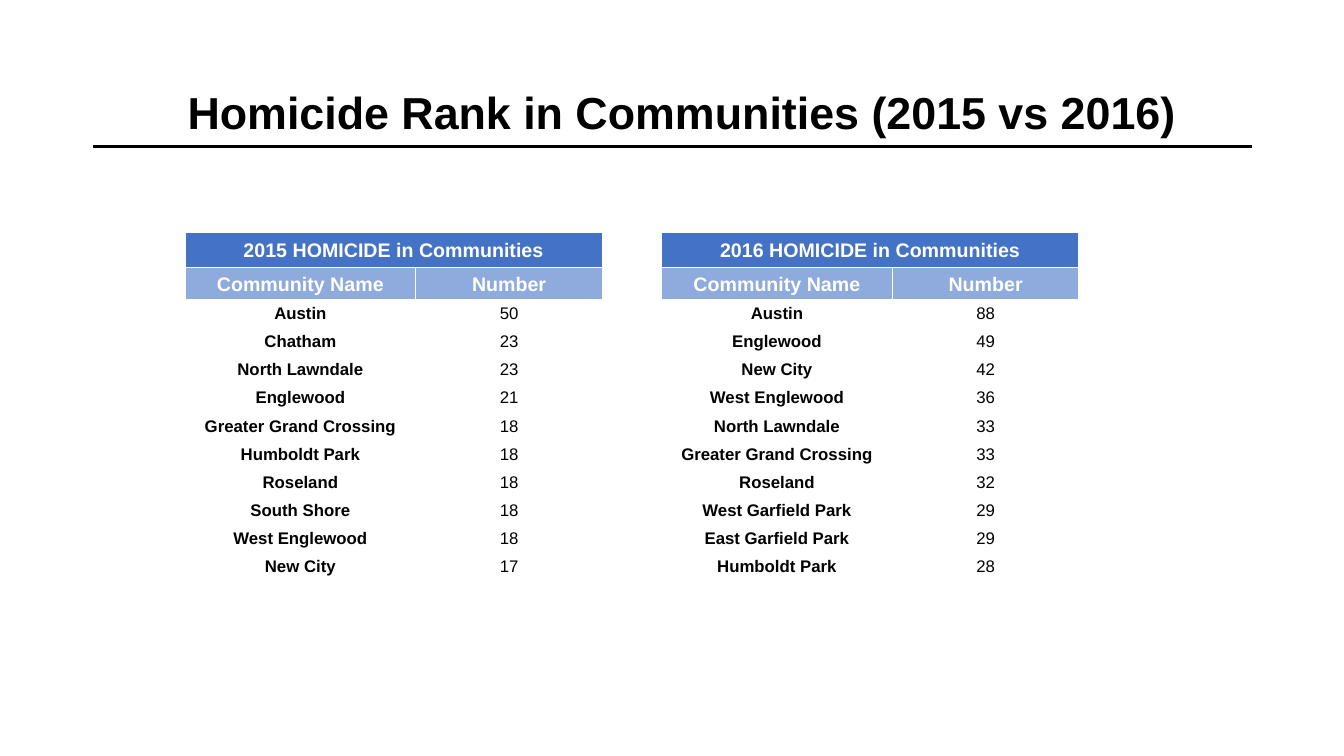
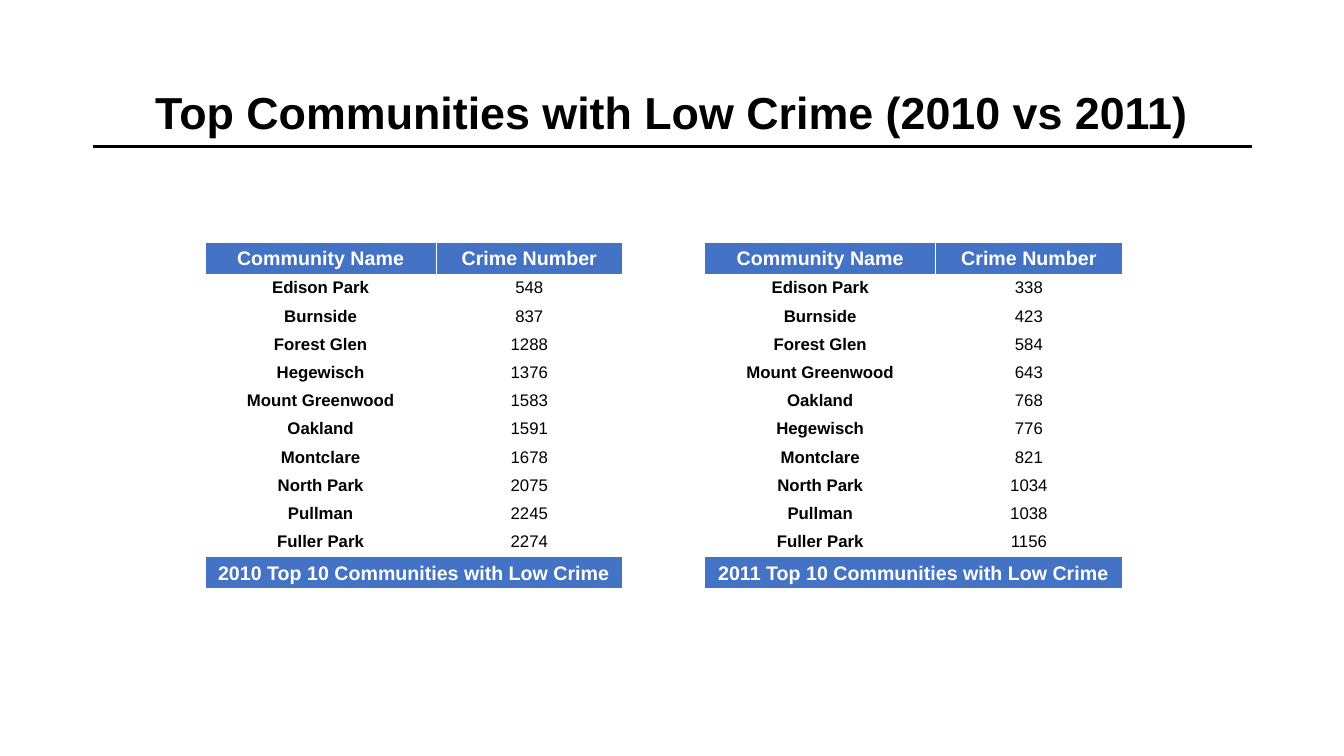
"""Build two slides that compare community rankings."""
from dataclasses import dataclass

import lxml.etree
import pptx
import pptx.dml.color
import pptx.enum.shapes
import pptx.enum.text
import pptx.oxml.ns
import pptx.presentation
import pptx.slide
import pptx.table
import pptx.text.text
import pptx.util

Cm = pptx.util.Cm
Pt = pptx.util.Pt
Anchor = pptx.enum.text.MSO_ANCHOR
qn = pptx.oxml.ns.qn

FONT = "Arial"
BLACK = "000000"
WHITE = "FFFFFF"
BLUE = "4472C4"
LIGHT_BLUE = "8FAADC"
COLUMN_WIDTHS = (5.82, 4.7)
CELL_MARGIN = 0.08
TITLE_TOP, TITLE_WIDTH, TITLE_HEIGHT = 2.16, 29.21, 3.68
RULE_LEFT, RULE_TOP = 2.34, 3.69


@dataclass(frozen=True)
class RowStyle:
    """Look of one kind of table row."""
    height: float
    fill: str
    color: str = WHITE
    size: int = 14
    anchor: Anchor = Anchor.MIDDLE


@dataclass(frozen=True)
class Ranking:
    """One ranking table, with an optional banner above or below."""
    left: float
    number_label: str
    entries: tuple[tuple[str, int], ...]
    heading: str = ""
    caption: str = ""


@dataclass(frozen=True)
class Comparison:
    """One slide with its title and its ranking tables."""
    title: str
    title_left: float
    table_top: float
    rankings: tuple[Ranking, ...]


HEADING = RowStyle(0.89, BLUE)
LABELS = RowStyle(0.81, BLUE)
SUBLABELS = RowStyle(0.81, LIGHT_BLUE)
ENTRY = RowStyle(0.71, WHITE, BLACK, 12, Anchor.TOP)
CAPTION = RowStyle(0.83, BLUE)

COMPARISONS = (
    Comparison("Homicide Rank in Communities (2015 vs 2016)", 2.59, 5.85, (
        Ranking(4.66, "Number", (
            ("Austin", 50), ("Chatham", 23), ("North Lawndale", 23),
            ("Englewood", 21), ("Greater Grand Crossing", 18),
            ("Humboldt Park", 18), ("Roseland", 18), ("South Shore", 18),
            ("West Englewood", 18), ("New City", 17),
        ), heading="2015 HOMICIDE in Communities"),
        Ranking(16.67, "Number", (
            ("Austin", 88), ("Englewood", 49), ("New City", 42),
            ("West Englewood", 36), ("North Lawndale", 33),
            ("Greater Grand Crossing", 33), ("Roseland", 32),
            ("West Garfield Park", 29), ("East Garfield Park", 29),
            ("Humboldt Park", 28),
        ), heading="2016 HOMICIDE in Communities"),
    )),
    Comparison("Top Communities with Low Crime (2010 vs 2011)", 2.33, 6.1, (
        Ranking(5.17, "Crime Number", (
            ("Edison Park", 548), ("Burnside", 837), ("Forest Glen", 1288),
            ("Hegewisch", 1376), ("Mount Greenwood", 1583),
            ("Oakland", 1591), ("Montclare", 1678), ("North Park", 2075),
            ("Pullman", 2245), ("Fuller Park", 2274),
        ), caption="2010 Top 10 Communities with Low Crime"),
        Ranking(17.76, "Crime Number", (
            ("Edison Park", 338), ("Burnside", 423), ("Forest Glen", 584),
            ("Mount Greenwood", 643), ("Oakland", 768), ("Hegewisch", 776),
            ("Montclare", 821), ("North Park", 1034), ("Pullman", 1038),
            ("Fuller Park", 1156),
        ), caption="2011 Top 10 Communities with Low Crime"),
    )),
)


def rgb(value: str) -> pptx.dml.color.RGBColor:
    """Turn a hex string into a colour."""
    return pptx.dml.color.RGBColor.from_string(value)


def write(frame: pptx.text.text.TextFrame, text: str, *, size: int, color: str,
          bold: bool, spacing: float) -> None:
    """Write one centred, formatted paragraph."""
    para = frame.paragraphs[0]
    para.alignment = pptx.enum.text.PP_ALIGN.CENTER
    para.line_spacing = spacing
    span = para.add_run()
    span.text = text
    span.font.name = FONT
    span.font.size = Pt(size)
    span.font.bold = bold
    span.font.color.rgb = rgb(color)


def add_title(page: pptx.slide.Slide, text: str, left: float) -> None:
    """Fill the title placeholder and draw the rule below it."""
    box = page.shapes.title
    box.left, box.top = Cm(left), Cm(TITLE_TOP)
    box.width, box.height = Cm(TITLE_WIDTH), Cm(TITLE_HEIGHT)
    frame = box.text_frame
    frame.word_wrap = True
    frame.auto_size = pptx.enum.text.MSO_AUTO_SIZE.NONE
    frame.vertical_anchor = Anchor.TOP
    write(frame, text, size=32, color=BLACK, bold=True, spacing=0.9)
    rule = page.shapes.add_connector(
        pptx.enum.shapes.MSO_CONNECTOR.STRAIGHT, Cm(RULE_LEFT), Cm(RULE_TOP),
        Cm(RULE_LEFT + TITLE_WIDTH), Cm(RULE_TOP))
    rule.line.color.rgb = rgb(BLACK)
    rule.line.width = Pt(2.25)
    lxml.etree.SubElement(rule._element.spPr, qn("a:effectLst"))


def style_cell(cell: pptx.table._Cell, style: RowStyle) -> None:
    """Set the borders, fill, margins and anchor of a cell."""
    properties = cell._tc.get_or_add_tcPr()
    for side in ("L", "R", "T", "B"):
        border = lxml.etree.SubElement(properties, qn(f"a:ln{side}"), w=str(Pt(1)))
        paint = lxml.etree.SubElement(border, qn("a:solidFill"))
        lxml.etree.SubElement(paint, qn("a:srgbClr"), val=WHITE)
    cell.fill.solid()
    cell.fill.fore_color.rgb = rgb(style.fill)
    cell.margin_left = cell.margin_right = Cm(CELL_MARGIN)
    cell.margin_top = cell.margin_bottom = Cm(CELL_MARGIN)
    cell.vertical_anchor = style.anchor


def table_rows(ranking: Ranking) -> list[tuple[RowStyle, tuple[str, ...]]]:
    """List the style and texts of each row; a lone text spans the row."""
    labels = SUBLABELS if ranking.heading else LABELS
    rows = [(labels, ("Community Name", ranking.number_label))]
    rows += [(ENTRY, (name, str(number))) for name, number in ranking.entries]
    if ranking.heading:
        rows.insert(0, (HEADING, (ranking.heading,)))
    if ranking.caption:
        rows.append((CAPTION, (ranking.caption,)))
    return rows


def add_ranking(page: pptx.slide.Slide, ranking: Ranking, top: float) -> None:
    """Draw one ranking table."""
    rows = table_rows(ranking)
    height = sum(style.height for style, _ in rows)
    table = page.shapes.add_table(
        len(rows), len(COLUMN_WIDTHS), Cm(ranking.left), Cm(top),
        Cm(sum(COLUMN_WIDTHS)), Cm(height)).table
    table.first_row = table.horz_banding = False
    for column, width in zip(table.columns, COLUMN_WIDTHS):
        column.width = Cm(width)
    for row, (style, texts) in zip(table.rows, rows):
        row.height = Cm(style.height)
        cells = list(row.cells)
        for cell in cells:
            style_cell(cell, style)
        if len(texts) == 1:
            cells[0].merge(cells[-1])
        for index, (cell, text) in enumerate(zip(cells, texts)):
            write(cell.text_frame, text, size=style.size, color=style.color,
                  bold=style is not ENTRY or index == 0, spacing=1.07)


def add_comparison(deck: pptx.presentation.Presentation,
                   comparison: Comparison) -> None:
    """Add one slide with a title and its tables."""
    page = deck.slides.add_slide(deck.slide_layouts.get_by_name("Title Only"))
    add_title(page, comparison.title, comparison.title_left)
    for ranking in comparison.rankings:
        add_ranking(page, ranking, comparison.table_top)


def main() -> None:
    """Build and save the deck."""
    deck = pptx.Presentation()
    deck.slide_width, deck.slide_height = Cm(33.87), Cm(19.05)
    for comparison in COMPARISONS:
        add_comparison(deck, comparison)
    deck.save("out.pptx")


if __name__ == "__main__":
    main()
